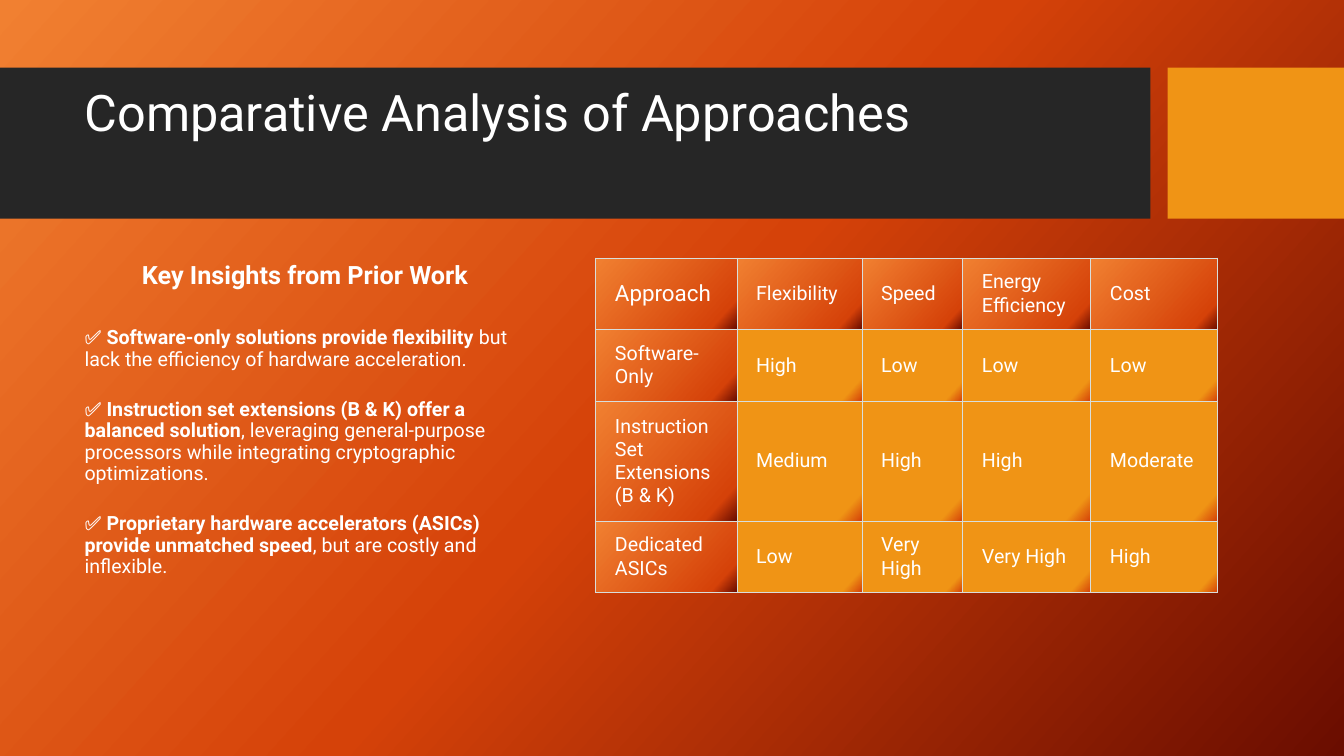
import pptx
import pptx.util
import pptx.dml.color
import pptx.enum.shapes
import pptx.enum.text
import pptx.oxml
import pptx.oxml.ns
import lxml.etree

Inches = pptx.util.Inches
Pt = pptx.util.Pt
qn = pptx.oxml.ns.qn

FONT = "Roboto"
WHITE = "FFFFFF"
AMBER = "F09415"
TITLE = "Comparative Analysis of Approaches"
HEAD = "Key Insights from Prior Work"
NOTES = [
    ("Software-only solutions provide flexibility",
     " but lack the efficiency of hardware acceleration."),
    ("Instruction set extensions (B & K) offer a balanced solution",
     ", leveraging general-purpose processors while integrating cryptographic optimizations."),
    ("Proprietary hardware accelerators (ASICs) provide unmatched speed",
     ", but are costly and inflexible."),
]
ROWS = [
    ("Approach", "Flexibility", "Speed", "Energy Efficiency", "Cost"),
    ("Software-Only", "High", "Low", "Low", "Low"),
    ("Instruction Set Extensions (B & K)", "Medium", "High", "High", "Moderate"),
    ("Dedicated ASICs", "Low", "Very High", "Very High", "High"),
]
WIDTHS = [1.4, 1.24, 1, 1.27, 1.26]
HEIGHTS = [0.71, 0.71, 1.19, 0.71]
BANDS = [(0, 11.41, "262626"), (11.58, 1.75, AMBER)]
BACK = [(0, "F18031"), (50, "D54209"), (100, "6A0D00")]
EDGE = [(0, "F18031"), (87, "D54209"), (100, "6A0D00")]
CORE = [(89, AMBER), (100, "D54209"), (100, "6A0D00")]


def color(text):
    return pptx.dml.color.RGBColor.from_string(text)


def style(run, size, bold=False):
    run.font.name = FONT
    run.font.size = Pt(size)
    run.font.bold = bold
    run.font.color.rgb = color(WHITE)


def blend(fill, root, stops):
    fill.gradient()
    grad = next(root.iter(qn("a:gradFill")))
    items = grad.find(qn("a:gsLst"))
    for item in list(items):
        items.remove(item)
    for place, tint in stops:
        stop = lxml.etree.SubElement(items, qn("a:gs"), pos=str(place * 1000))
        lxml.etree.SubElement(stop, qn("a:srgbClr"), val=tint)
    line = grad.find(qn("a:lin"))
    line.set("ang", str(42 * 60000))
    line.set("scaled", "0")


def border(cell):
    props = cell._tc.get_or_add_tcPr()
    for place, side in enumerate(("lnL", "lnR", "lnT", "lnB")):
        line = pptx.oxml.parse_xml(
            f'<a:{side} {pptx.oxml.ns.nsdecls("a")} w="{Pt(0.75)}"><a:solidFill>'
            f'<a:srgbClr val="D8DEDC"/></a:solidFill></a:{side}>')
        props.insert(place, line)


def textbox(slide, *box):
    frame = slide.shapes.add_textbox(*map(Inches, box)).text_frame
    frame.word_wrap = True
    return frame


def add_bands(slide):
    for left, width, tint in BANDS:
        band = slide.shapes.add_shape(
            pptx.enum.shapes.MSO_SHAPE.RECTANGLE,
            Inches(left), Inches(0.67), Inches(width), Inches(1.5))
        band.shadow.inherit = False
        band.fill.solid()
        band.fill.fore_color.rgb = color(tint)
        band.line.fill.background()


def add_text(slide):
    para = textbox(slide, 0.74, 0.82, 10.51, 1.18).paragraphs[0]
    para.text = TITLE
    para.line_spacing = 0.9
    style(para.runs[0], 36)

    frame = textbox(slide, 0.74, 2.56, 4.57, 3.5)
    para = frame.paragraphs[0]
    para.text = HEAD
    para.alignment = pptx.enum.text.PP_ALIGN.CENTER
    para.line_spacing = 0.9
    para.space_after = Pt(27)
    style(para.runs[0], 18, True)
    for claim, rest in NOTES:
        para = frame.add_paragraph()
        para.line_spacing = 0.9
        para.space_after = Pt(21)
        for text, bold in (("✅ ", False), (claim, True), (rest, False)):
            run = para.add_run()
            run.text = text
            style(run, 14, bold)


def add_grid(slide):
    grid = slide.shapes.add_table(
        len(ROWS), len(WIDTHS), Inches(5.91), Inches(2.56),
        Inches(sum(WIDTHS)), Inches(sum(HEIGHTS))).table
    for col, width in zip(grid.columns, WIDTHS):
        col.width = Inches(width)
    for row, height in zip(grid.rows, HEIGHTS):
        row.height = Inches(height)
    for r, texts in enumerate(ROWS):
        for c, text in enumerate(texts):
            cell = grid.cell(r, c)
            cell.text_frame.text = text
            style(cell.text_frame.paragraphs[0].runs[0], 16 if r == c == 0 else 14)
            cell.vertical_anchor = pptx.enum.text.MSO_ANCHOR.MIDDLE
            cell.margin_left = Inches(0.19)
            cell.margin_right = Inches(0.09)
            cell.margin_top = cell.margin_bottom = Inches(0.1)
            blend(cell.fill, cell._tc, CORE if r and c else EDGE)
            border(cell)


def main():
    deck = pptx.Presentation()
    deck.slide_width = Inches(13.33)
    deck.slide_height = Inches(7.5)
    slide = deck.slides.add_slide(deck.slide_layouts[6])
    blend(slide.background.fill, slide._element, BACK)
    add_bands(slide)
    add_text(slide)
    add_grid(slide)
    deck.save("out.pptx")


if __name__ == "__main__":
    main()
